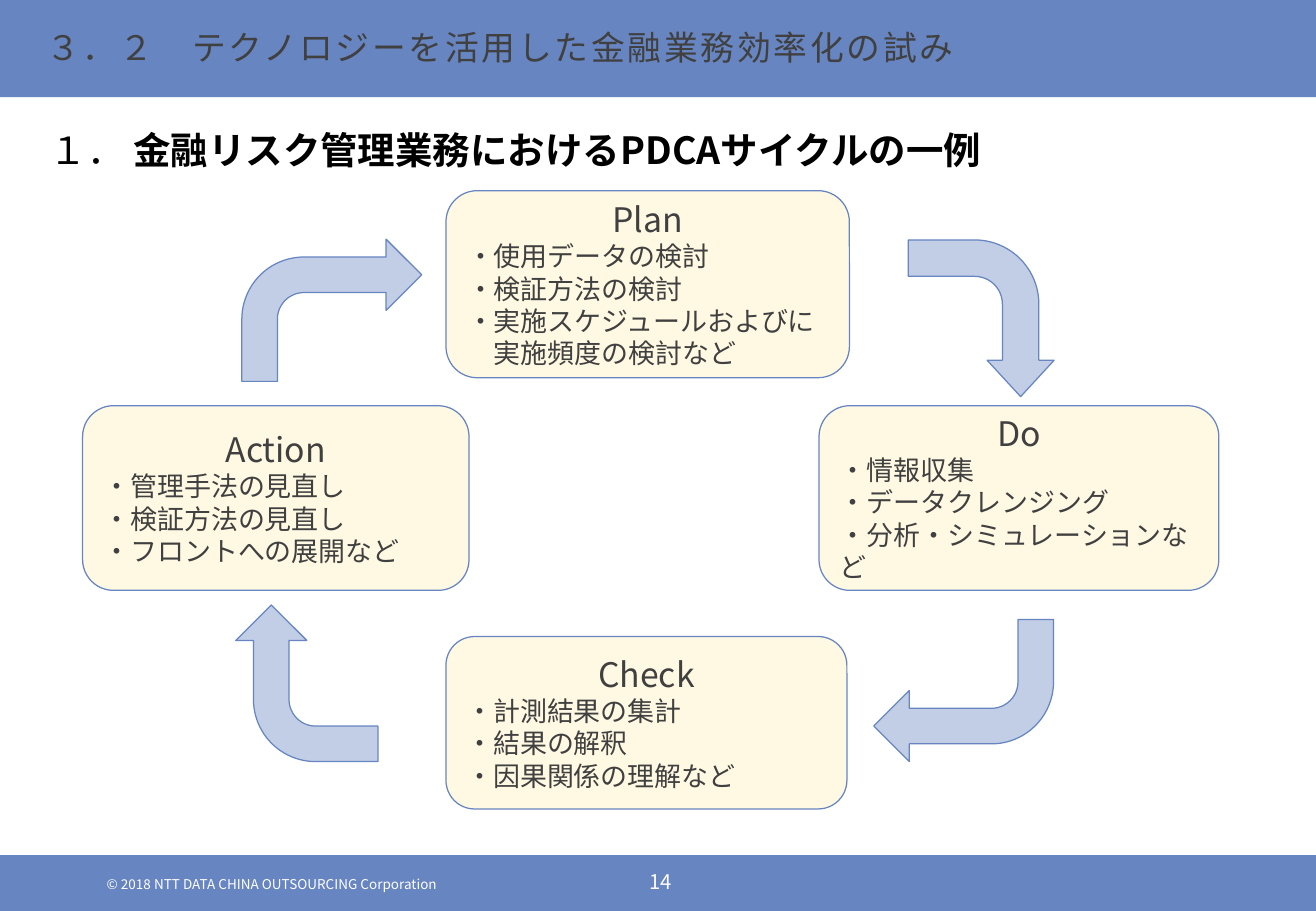
from dataclasses import dataclass

from lxml import etree
from pptx import Presentation
from pptx.dml.color import RGBColor
from pptx.enum.shapes import MSO_SHAPE
from pptx.enum.text import MSO_ANCHOR, MSO_AUTO_SIZE, PP_ALIGN
from pptx.oxml.ns import qn
from pptx.util import Emu, Pt

RECTANGLE = MSO_SHAPE.RECTANGLE
ROUNDED = MSO_SHAPE.ROUNDED_RECTANGLE
BENT_ARROW = MSO_SHAPE.BENT_ARROW
TOP, MIDDLE = MSO_ANCHOR.TOP, MSO_ANCHOR.MIDDLE
LEFT, CENTER = PP_ALIGN.LEFT, PP_ALIGN.CENTER
NO_FIT, GROW = MSO_AUTO_SIZE.NONE, MSO_AUTO_SIZE.SHAPE_TO_FIT_TEXT

EMU_PER_PX = 9144
PAGE_WIDTH, PAGE_HEIGHT = 1083, 750
FONT = "Noto Sans CJK JP"
BLUE, PALE_BLUE, CREAM = "6785C1", "C2CEE6", "FFF9E3"
GRAY, BLACK, WHITE = "404040", "000000", "FFFFFF"


@dataclass(frozen=True)
class Area:
    left: int
    top: int
    width: int
    height: int


@dataclass(frozen=True)
class Stage:
    name: str
    area: Area
    tasks: tuple[str, ...]


@dataclass(frozen=True)
class Turn:
    area: Area
    rotation: int
    adjustments: tuple[float, ...] = ()


@dataclass(frozen=True)
class FooterText:
    text: str
    area: Area
    size: int
    align: PP_ALIGN


BARS = (Area(0, 704, PAGE_WIDTH, 46), Area(0, 0, PAGE_WIDTH, 80))

FOOTER = (
    FooterText("© 2018 NTT DATA CHINA OUTSOURCING Corporation",
               Area(78, 721, 344, 13), 8, LEFT),
    FooterText("14", Area(507, 716, 73, 20), 12, CENTER),
)

STAGES = (
    Stage("Plan", Area(367, 157, 332, 154),
          ("・使用データの検討", "・検証方法の検討",
           "・実施スケジュールおよびに", "　実施頻度の検討など")),
    Stage("Action", Area(68, 334, 318, 152),
          ("・管理手法の見直し", "・検証方法の見直し", "・フロントへの展開など")),
    Stage("Do", Area(674, 334, 329, 152),
          ("・情報収集", "・データクレンジング", "・分析・シミュレーションなど")),
    Stage("Check", Area(367, 524, 330, 142),
          ("・計測結果の集計", "・結果の解釈", "・因果関係の理解など")),
)

TURNS = (
    Turn(Area(743, 202, 129, 120), 90, (0.25, 0.23, 0.25, 0.44)),
    Turn(Area(719, 510, 148, 117), 180),
    Turn(Area(188, 504, 129, 117), 270),
    Turn(Area(199, 197, 148, 117), 0),
)


def px(length: int) -> Emu:
    return Emu(length * EMU_PER_PX)


def color(value: str) -> RGBColor:
    return RGBColor.from_string(value)


def place(shape, area: Area) -> None:
    shape.left, shape.top = px(area.left), px(area.top)
    shape.width, shape.height = px(area.width), px(area.height)


def add_span(para, text: str, size: float, text_color: str,
             bold: bool = False, spacing: int = 0) -> None:
    span = para.add_run()
    span.text = text
    span.font.size = Pt(size)
    span.font.bold = bold
    span.font.name = FONT
    span.font.color.rgb = color(text_color)
    properties = span.font._element
    etree.SubElement(properties, qn("a:ea")).set("typeface", FONT)
    if spacing:
        properties.set("spc", str(spacing))


def add_box(page, kind: MSO_SHAPE, area: Area, fill: str, outlined: bool = True):
    box = page.shapes.add_shape(kind, *(px(length) for length in (
        area.left, area.top, area.width, area.height)))
    box.shadow.inherit = False
    box.fill.solid()
    box.fill.fore_color.rgb = color(fill)
    if outlined:
        box.line.color.rgb = color(BLUE)
        box.line.width = Pt(0.75)
    else:
        box.line.fill.background()
    return box


def add_footer(page, item: FooterText) -> None:
    box = page.shapes.add_textbox(0, 0, 0, 0)
    place(box, item.area)
    frame = box.text_frame
    frame.word_wrap = True
    frame.auto_size = GROW
    frame.margin_top = frame.margin_bottom = 0
    para = frame.paragraphs[0]
    para.alignment = item.align
    add_span(para, item.text, item.size, WHITE)


def add_stage(page, stage: Stage) -> None:
    frame = add_box(page, ROUNDED, stage.area, CREAM).text_frame
    frame.word_wrap = True
    frame.vertical_anchor = MIDDLE
    heading = frame.paragraphs[0]
    heading.alignment = CENTER
    add_span(heading, stage.name, 20, GRAY)
    for task in stage.tasks:
        para = frame.add_paragraph()
        para.alignment = LEFT
        add_span(para, task, 16, GRAY)


def add_turn(page, turn: Turn) -> None:
    arrow = add_box(page, BENT_ARROW, turn.area, PALE_BLUE)
    arrow.rotation = turn.rotation
    for index, value in enumerate(turn.adjustments):
        arrow.adjustments[index] = value


def prepare_placeholder(placeholder, area: Area, anchor: MSO_ANCHOR):
    place(placeholder, area)
    element = placeholder.element
    element.getparent().append(element)
    frame = placeholder.text_frame
    frame.word_wrap = True
    frame.auto_size = NO_FIT
    frame.vertical_anchor = anchor
    para = frame.paragraphs[0]
    properties = para._p.get_or_add_pPr()
    properties.set("marL", "0")
    properties.set("indent", "0")
    etree.SubElement(properties, qn("a:buNone"))
    para.alignment = LEFT
    para.space_before = Pt(0)
    return frame


def main() -> None:
    deck = Presentation()
    deck.slide_width, deck.slide_height = px(PAGE_WIDTH), px(PAGE_HEIGHT)
    page = deck.slides.add_slide(deck.slide_layouts[1])
    title, body = page.shapes.title, page.placeholders[1]

    for area in BARS:
        add_box(page, RECTANGLE, area, BLUE, outlined=False)
    for item in FOOTER:
        add_footer(page, item)

    frame = prepare_placeholder(title, Area(28, 17, 880, 56), TOP)
    add_span(frame.paragraphs[0], "３．２　テクノロジーを活用した金融業務効率化の試み",
             20, GRAY, spacing=160)

    for stage in STAGES:
        add_stage(page, stage)
    for turn in TURNS:
        add_turn(page, turn)

    frame = prepare_placeholder(body, Area(31, 95, 1021, 50), MIDDLE)
    frame.margin_top, frame.margin_bottom = px(12), px(5)
    add_span(frame.paragraphs[0], "１．", 22.2, BLACK)
    add_span(frame.paragraphs[0], " 金融リスク管理業務におけるPDCAサイクルの一例",
             22.2, BLACK, bold=True)
    deck.save("out.pptx")


if __name__ == "__main__":
    main()
